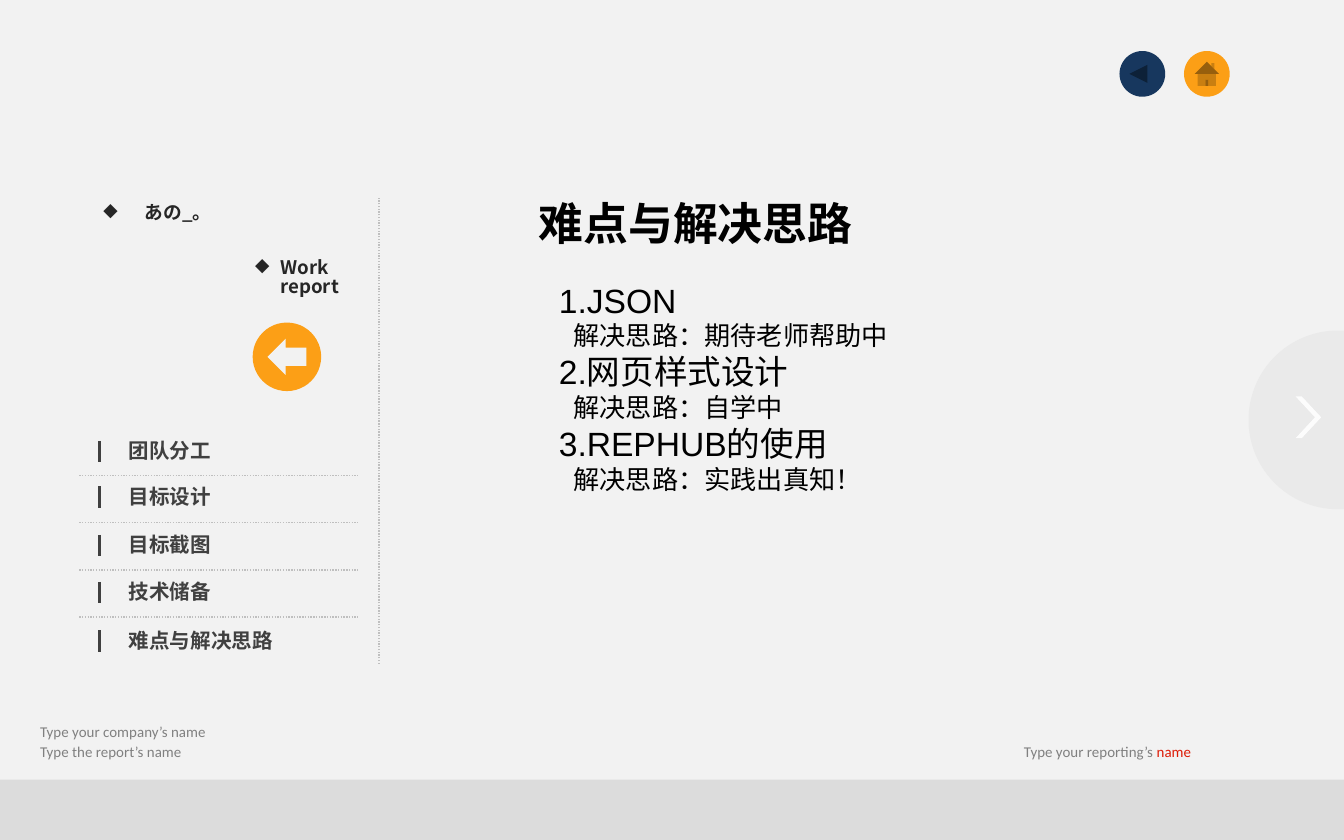
from dataclasses import dataclass

from lxml.etree import SubElement
from pptx import Presentation
from pptx.dml.color import RGBColor as Rgb
from pptx.enum.dml import MSO_LINE as Dash
from pptx.enum.shapes import MSO_CONNECTOR as Conn, MSO_SHAPE as Geo
from pptx.enum.text import MSO_AUTO_SIZE as Fit
from pptx.oxml.ns import qn
from pptx.util import Inches, Pt


@dataclass(frozen=True)
class Theme:
    back: str = "F2F2F2"
    band: str = "DCDCDC"
    pale: str = "EAEAEA"
    white: str = "FFFFFF"
    navy: str = "17375E"
    gold: str = "FC9F16"
    red: str = "DD1B06"
    black: str = "000000"
    dark: str = "262626"
    menu: str = "404040"
    foot: str = "808080"
    rule: str = "BFBFBF"
    sans: str = "Calibri"
    body: str = "Arial"
    cjk: str = "Noto Sans CJK SC"
    tiny: int = 8
    note: int = 10
    item: int = 11
    sub: int = 14
    head: int = 18
    title: int = 24


theme = Theme()
deck = Presentation()
deck.slide_width, deck.slide_height = Inches(10), Inches(6.25)
slide = deck.slides.add_slide(deck.slide_layouts[6])
slide.background.fill.solid()
slide.background.fill.fore_color.rgb = Rgb.from_string(theme.back)
shapes = slide.shapes


def add_text(box, paras, wrap=True):
    """Add a text box; each paragraph is a list of (text, format) runs."""
    frame = shapes.add_textbox(*map(Inches, box)).text_frame
    frame.word_wrap = wrap
    frame.auto_size = Fit.SHAPE_TO_FIT_TEXT
    for num, runs in enumerate(paras):
        para = frame.add_paragraph() if num else frame.paragraphs[0]
        for text, form in runs:
            run = para.add_run()
            run.text = text
            for key, value in form.items():
                if key == "color":
                    run.font.color.rgb = Rgb.from_string(value)
                else:
                    setattr(run.font, key, value)
            if form["name"] == theme.cjk:
                SubElement(run.font._element, qn("a:ea"), typeface=theme.cjk)
    return frame


def add_line(start, end, color, width, dash=None):
    line = shapes.add_connector(Conn.STRAIGHT, *map(Inches, start + end))
    line.line.color.rgb = Rgb.from_string(color)
    line.line.width = Pt(width)
    if dash:
        line.line.dash_style = dash
    SubElement(line._element.spPr, qn("a:effectLst"))


# Footer texts
small = {"name": theme.sans, "size": Pt(theme.tiny), "color": theme.foot}
alert = {**small, "color": theme.red}
for left, top, runs in [
    (0.2, 5.33, [("Type your company’s name", small)]),
    (0.2, 5.48, [("Type the report’s name", small)]),
    (7.52, 5.48, [("Type your reporting’s ", small), ("name", alert)]),
]:
    add_text((left, top, 1.65, 0.24), [runs])

# Footer band, page turner and buttons: geometry, box, fill, adjustments, turn
for geo, box, color, adjust, turn in [
    (Geo.RECTANGLE, (0, 5.8, 10, 0.45), theme.band, [], 0),
    (Geo.CHORD, (9.29, 2.46, 1.33, 1.33), theme.pale, [37.866, 151.716], 21.9),
    (Geo.CHEVRON, (9.64, 2.95, 0.19, 0.31), theme.white, [0.759], 0),
    (Geo.OVAL, (8.33, 0.38, 0.34, 0.34), theme.navy, [], 0),
    (Geo.OVAL, (8.81, 0.38, 0.34, 0.34), theme.gold, [], 0),
    (Geo.ACTION_BUTTON_BACK_OR_PREVIOUS, (8.38, 0.46, 0.18, 0.18), theme.navy, [], 0),
    (Geo.ACTION_BUTTON_HOME, (8.86, 0.43, 0.24, 0.24), theme.gold, [], 0),
    (Geo.OVAL, (1.88, 2.4, 0.51, 0.51), theme.gold, [], 0),
    (Geo.LEFT_ARROW, (1.99, 2.52, 0.29, 0.27), theme.back, [], 0),
]:
    shape = shapes.add_shape(geo, *map(Inches, box))
    shape.shadow.inherit = False
    shape.fill.solid()
    shape.fill.fore_color.rgb = Rgb.from_string(color)
    shape.line.fill.background()
    shape.rotation = turn
    for num, value in enumerate(adjust):
        shape.adjustments[num] = value
    if geo == Geo.CHEVRON:
        tint = shape.fill._xPr.find(qn("a:solidFill"))[0]
        SubElement(tint, qn("a:alpha"), val="90000")

# Bulleted report labels
label = {"name": theme.cjk, "size": Pt(theme.note), "color": theme.dark, "bold": True}
for box, indent, text in [
    ((0.67, 1.47, 1.21, 0.4), 0.31, "あの_。"),
    ((1.8, 1.88, 1.17, 0.44), 0.19, "Work report"),
]:
    para = add_text(box, [[(text, label)]]).paragraphs[0]
    para.line_spacing = 0.85
    props = para._p.get_or_add_pPr()
    props.set("marL", str(Inches(indent)))
    props.set("indent", str(-Inches(indent)))
    SubElement(props, qn("a:buChar"), char="◆")

# Side menu
entry = {**label, "size": Pt(theme.item), "color": theme.menu}
items = ["团队分工", "目标设计", "目标截图", "技术储备", "难点与解决思路"]
for top, text in zip([3.24, 3.58, 3.94, 4.29, 4.65], items):
    add_line((0.74, top + 0.04), (0.74, top + 0.2), theme.menu, 2)
    frame = add_text((0.86, top, 1.77, 0.29), [[(text, entry)]])
    frame.paragraphs[0].line_spacing = 0.85
for row in range(len(items) - 1):
    high = 3.54 + 0.35 * row
    add_line((0.59, high), (2.66, high), theme.rule, 0.75, Dash.ROUND_DOT)
add_line((2.82, 4.94), (2.82, 1.47), theme.rule, 0.75, Dash.ROUND_DOT)

# Title and content
title = {"name": theme.sans, "size": Pt(theme.title), "color": theme.black, "bold": True}
add_text((3.91, 1.41, 2.56, 0.5), [[("难点与解决思路", title)]], wrap=False)

head = {"name": theme.body, "size": Pt(theme.head), "color": theme.black}
sub = {**head, "size": Pt(theme.sub)}
paras = []
for issue, plan in [
    ("1.JSON", "期待老师帮助中"),
    ("2.网页样式设计", "自学中"),
    ("3.REPHUB的使用", "实践出真知！"),
]:
    paras += [[(issue, head)], [("解决思路：" + plan, sub)]]
frame = add_text((4.06, 2.03, 3.91, 2.22), paras)
for para in frame.paragraphs[1::2]:
    para._p.get_or_add_pPr().set("marL", str(Inches(0.11)))

deck.save("out.pptx")
